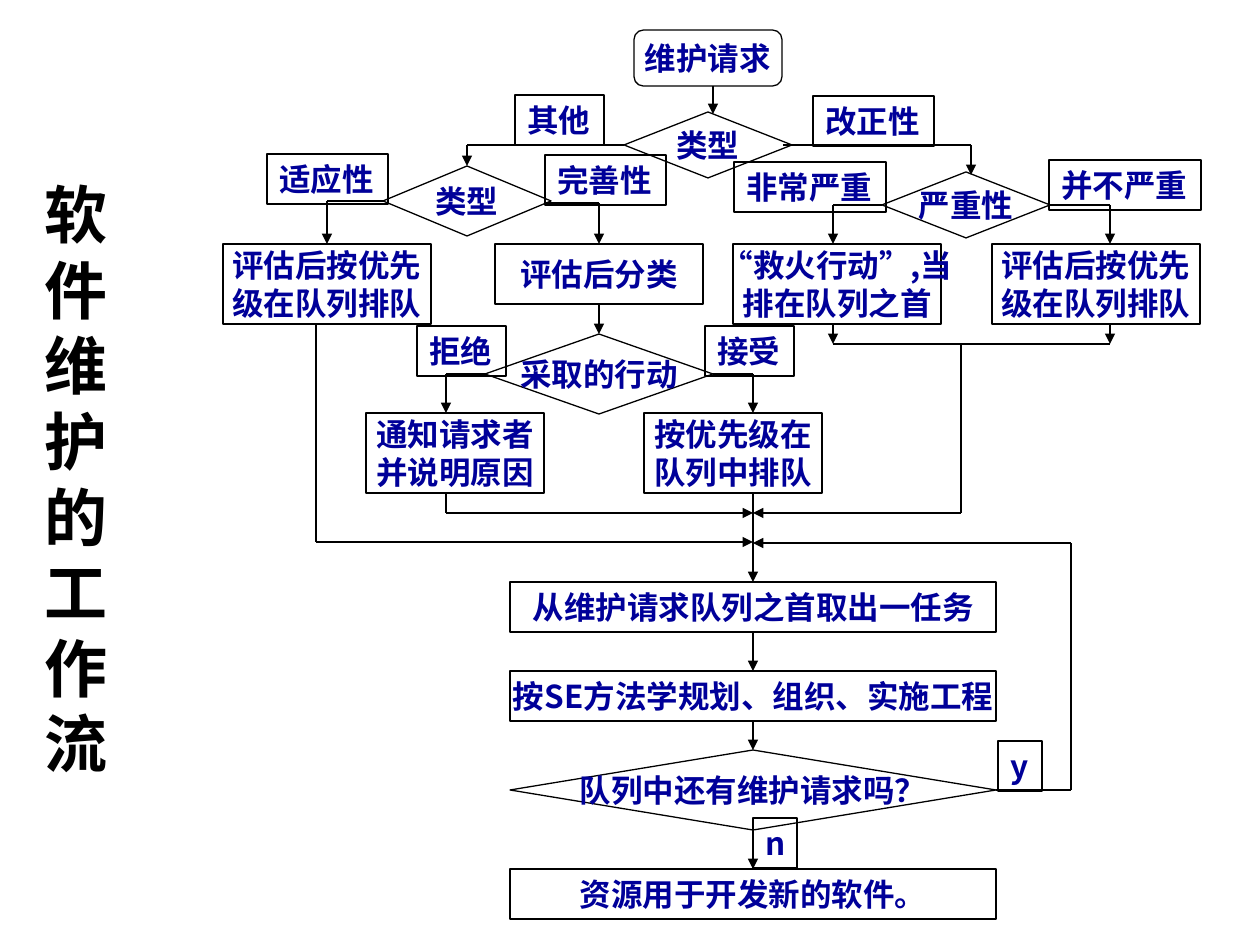
"""Build the flow chart of the software maintenance process."""
from dataclasses import dataclass
from itertools import pairwise

from lxml.etree import SubElement
from pptx import Presentation
from pptx.dml.color import RGBColor
from pptx.enum.shapes import MSO_CONNECTOR, MSO_SHAPE
from pptx.enum.text import MSO_ANCHOR, MSO_AUTO_SIZE, PP_ALIGN
from pptx.oxml.ns import qn
from pptx.util import Pt

RECT, ROUND, DIAMOND = MSO_SHAPE.RECTANGLE, MSO_SHAPE.ROUNDED_RECTANGLE, MSO_SHAPE.DIAMOND
STRAIGHT = MSO_CONNECTOR.STRAIGHT
LEFT, CENTER = PP_ALIGN.LEFT, PP_ALIGN.CENTER
TOP, MIDDLE = MSO_ANCHOR.TOP, MSO_ANCHOR.MIDDLE
NO_FIT, GROW = MSO_AUTO_SIZE.NONE, MSO_AUTO_SIZE.SHAPE_TO_FIT_TEXT
SCALE = 914400 / 126
CJK = "Noto Sans CJK SC"
BLACK, NAVY = "000000", "000099"
BODY = {"size": Pt(18), "bold": True, "name": CJK}
HEAD = {"size": Pt(36), "bold": True, "name": "Times New Roman"}
NODE = {"word_wrap": False, "auto_size": NO_FIT, "vertical_anchor": MIDDLE}
TAG = {"word_wrap": False, "auto_size": GROW, "vertical_anchor": TOP}
SIDE = {"word_wrap": True, "auto_size": NO_FIT, "vertical_anchor": MIDDLE}


@dataclass
class Box:
    """A box with text, in px."""
    text: str
    x: int
    y: int
    w: int
    h: int
    kind: int = RECT

    def sides(self) -> list:
        """Give the middles of the sides in connection order."""
        mid, half = self.x + self.w // 2, self.y + self.h // 2
        return [(mid, self.y), (self.x, half), (mid, self.y + self.h), (self.x + self.w, half)]


@dataclass
class Path:
    """A run of straight lines, in px."""
    points: list
    arrow: bool = True


BOXES = [
    Box("维护请求", 634, 30, 148, 56, ROUND),
    Box("类型", 624, 112, 168, 66, DIAMOND),
    Box("类型", 383, 166, 168, 70, DIAMOND),
    Box("严重性", 882, 172, 168, 66, DIAMOND),
    Box("评估后按优先\n级在队列排队", 992, 244, 208, 80),
    Box("“救火行动”,当\n排在队列之首", 733, 244, 208, 80),
    Box("评估后分类", 495, 244, 208, 60),
    Box("评估后按优先\n级在队列排队", 223, 244, 208, 80),
    Box("采取的行动", 485, 334, 228, 80, DIAMOND),
    Box("通知请求者\n并说明原因", 366, 413, 178, 80),
    Box("按优先级在\n队列中排队", 644, 413, 178, 80),
    Box("从维护请求队列之首取出一任务", 510, 582, 486, 50),
    Box("按SE方法学规划、组织、实施工程", 510, 671, 486, 50),
    Box("队列中还有维护请求吗？", 510, 750, 486, 80, DIAMOND),
    Box("资源用于开发新的软件。", 510, 869, 486, 50),
]
TAGS = [
    Box("y", 998, 741, 44, 50),
    Box("n", 753, 818, 44, 50),
    Box("改正性", 813, 96, 121, 50),
    Box("其他", 515, 95, 89, 50),
    Box("完善性", 545, 155, 121, 50),
    Box("适应性", 267, 154, 121, 50),
    Box("拒绝", 417, 326, 89, 50),
    Box("接受", 705, 326, 89, 50),
    Box("并不严重", 1049, 160, 152, 50),
    Box("非常严重", 734, 162, 152, 50),
]
PATHS = [
    Path([(713, 86), (713, 114)]),
    Path([(624, 145), (467, 145), (467, 166)]),
    Path([(783, 145), (971, 145), (971, 175)]),
    Path([(544, 203), (599, 203), (599, 244)]),
    Path([(383, 201), (327, 201), (327, 244)]),
    Path([(882, 205), (833, 205), (833, 244)]),
    Path([(1050, 205), (1110, 205), (1110, 244)]),
    Path([(833, 344), (1110, 344)], False),
    Path([(833, 324), (833, 344)]),
    Path([(1110, 324), (1110, 344)]),
    Path([(599, 304), (599, 334)]),
    Path([(485, 374), (446, 374), (446, 413)]),
    Path([(713, 374), (753, 374), (753, 413)]),
    Path([(446, 493), (446, 513), (753, 513)]),
    Path([(753, 493), (753, 582)]),
    Path([(316, 324), (316, 542), (753, 542)]),
    Path([(961, 344), (961, 513), (753, 513)]),
    Path([(753, 632), (753, 671)]),
    Path([(753, 721), (753, 750)]),
    Path([(753, 830), (753, 869)]),
    Path([(996, 790), (1071, 790), (1071, 543), (753, 543)]),
]


def px(*sizes: int) -> list:
    """Turn px into EMU."""
    return [round(size * SCALE) for size in sizes]


def rgb(code: str) -> RGBColor:
    """Turn a hex string into a colour."""
    return RGBColor.from_string(code)


def apply(item, values: dict) -> None:
    """Set each named value on an item."""
    for name, value in values.items():
        setattr(item, name, value)


def write(shape, text: str, frame: dict, font: dict, color: str, align) -> None:
    """Fill a shape with formatted text."""
    shape.text_frame.text = text
    apply(shape.text_frame, frame)
    for para in shape.text_frame.paragraphs:
        para.alignment = align
        for run in para.runs:
            apply(run.font, font)
            run.font.color.rgb = rgb(color)
            SubElement(run.font._element, qn("a:ea"), typeface=CJK)


def stroke(line) -> None:
    """Give a line its colour and width."""
    line.color.rgb = rgb(BLACK)
    line.width = Pt(0.75)


def draw_box(slide, box: Box, frame: dict, align):
    """Draw one box and return its shape."""
    shape = slide.shapes.add_shape(box.kind, *px(box.x, box.y, box.w, box.h))
    shape.shadow.inherit = False
    shape.fill.background()
    stroke(shape.line)
    write(shape, box.text, frame, BODY, NAVY, align)
    return shape


def draw_path(slide, path: Path, sites: dict) -> None:
    """Draw the lines of a path and join them to the boxes they meet."""
    for start, end in pairwise(path.points):
        link = slide.shapes.add_connector(STRAIGHT, *px(*start, *end))
        stroke(link.line)
        props = link._element.spPr
        if path.arrow and end == path.points[-1]:
            SubElement(props.find(qn("a:ln")), qn("a:tailEnd"), type="triangle")
        SubElement(props, qn("a:effectLst"))
        if start in sites:
            link.begin_connect(*sites[start])
        if end in sites:
            link.end_connect(*sites[end])


def main() -> None:
    """Build and save the slide."""
    deck = Presentation()
    deck.slide_width, deck.slide_height = px(1260, 945)
    slide = deck.slides.add_slide(deck.slide_layouts[5])
    title = slide.shapes.title
    apply(title, dict(zip(("left", "top", "width", "height"), px(32, 95, 84, 766))))
    write(title, "软件维护的工作流", SIDE, HEAD, BLACK, CENTER)
    sites = {}
    for box in BOXES:
        shape = draw_box(slide, box, NODE, CENTER)
        sites.update({spot: (shape, side) for side, spot in enumerate(box.sides())})
    for path in PATHS:
        draw_path(slide, path, sites)
    for tag in TAGS:
        draw_box(slide, tag, TAG, LEFT)
    deck.save("out.pptx")


if __name__ == "__main__":
    main()
